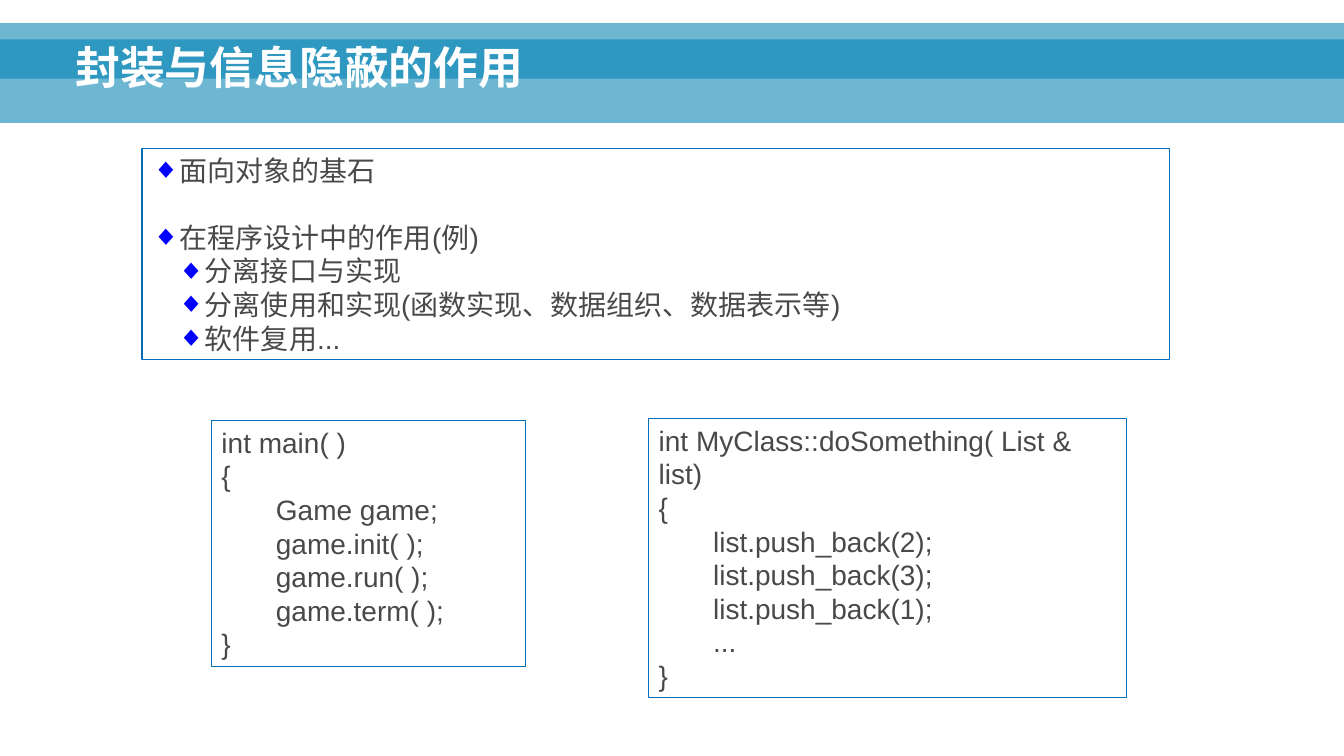
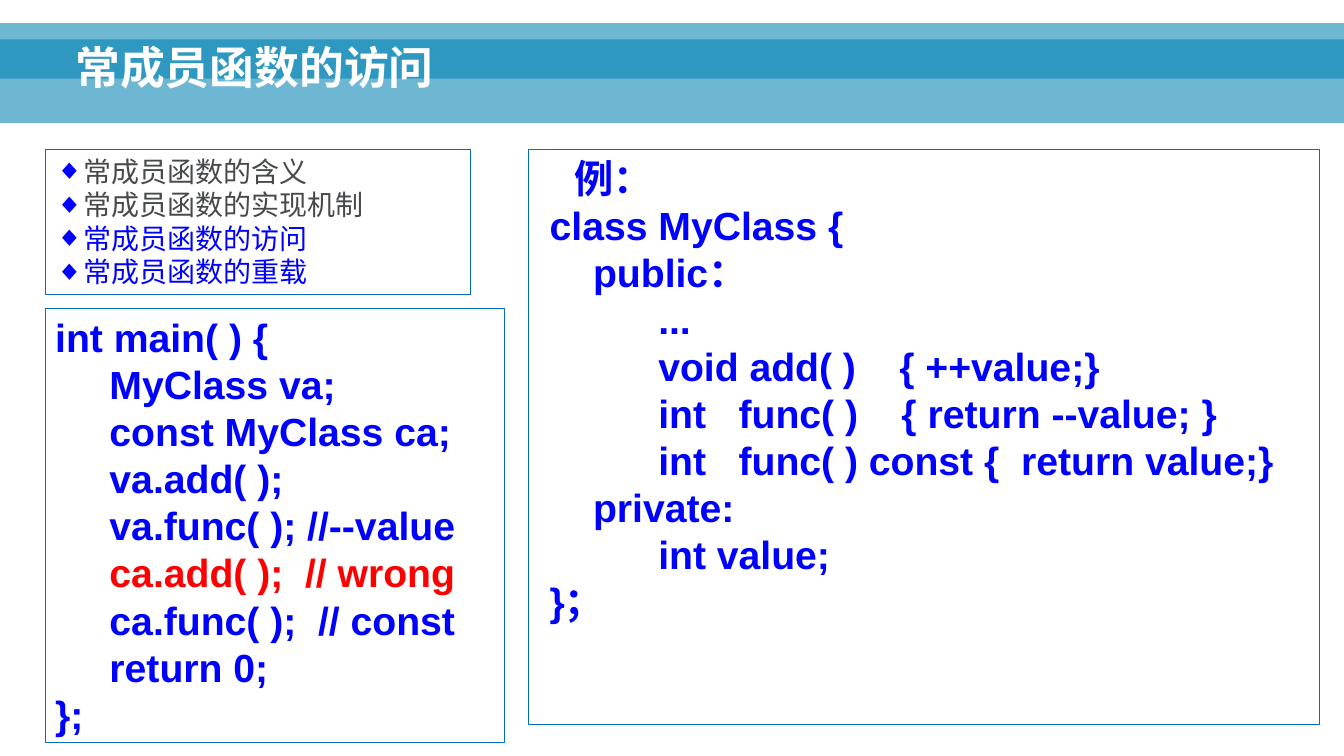
from lxml import etree
from pptx import Presentation
from pptx.dml.color import RGBColor
from pptx.enum import shapes, text
from pptx.oxml import ns
from pptx.util import Inches, Pt

BAND = RGBColor(0x00, 0x82, 0xB3)
EDGE = RGBColor(0x04, 0x6F, 0xB6)
GREY = RGBColor(0x47, 0x49, 0x4B)
BLUE = RGBColor(0x00, 0x00, 0xFF)
RED = RGBColor(0xFF, 0x00, 0x00)
WHITE = RGBColor(0xFF, 0xFF, 0xFF)

BAND_ALPHA = "57000"
BANDS = [(0.39, 0.83), (0.23, 0.55)]
TITLE = {"size": Pt(32), "bold": True, "name": "Arial"}
BODY = {"size": Pt(20), "bold": False, "name": "Arial"}
CODE = {"size": Pt(28), "bold": True, "name": "Arial"}
STEP = Inches(0.25)


def add_rect(s, left, top, width, height):
    sp = s.shapes.add_shape(shapes.MSO_SHAPE.RECTANGLE, Inches(left), Inches(top),
                            Inches(width), Inches(height))
    sp.shadow.inherit = False
    return sp


def write(tf, lines, fmt, bullets=False):
    tf.word_wrap = True
    for i, (line, color, level, gap) in enumerate(lines):
        p = tf.paragraphs[0] if i == 0 else tf.add_paragraph()
        p.alignment = text.PP_ALIGN.LEFT
        if gap:
            p.space_before = Pt(gap)
        if bullets:
            pPr = p._p.get_or_add_pPr()
            pPr.set("marL", str(STEP * (level + 1)))
            pPr.set("indent", str(-STEP))
            clr = etree.SubElement(pPr, ns.qn("a:buClr"))
            etree.SubElement(clr, ns.qn("a:srgbClr"), val=str(BLUE))
            etree.SubElement(pPr, ns.qn("a:buFont"), typeface="Arial")
            etree.SubElement(pPr, ns.qn("a:buChar"), char="◆")
        r = p.add_run()
        r.text = line
        for key, value in fmt.items():
            setattr(r.font, key, value)
        r.font.color.rgb = color


ROLE_LINES = [
    ("面向对象的基石", GREY, 0, 0),
    ("在程序设计中的作用(例)", GREY, 0, 24),
    ("分离接口与实现", GREY, 1, 0),
    ("分离使用和实现(函数实现、数据组织、数据表示等)", GREY, 1, 0),
    ("软件复用...", GREY, 1, 0),
]
GAME_CODE = """int main( )
{
       Game game;
       game.init( );
       game.run( );
       game.term( );
}"""
LIST_CODE = """int MyClass::doSomething( List & list)
{
       list.push_back(2);
       list.push_back(3);
       list.push_back(1);
       ...
}"""
TOPIC_LINES = [
    ("常成员函数的含义", GREY, 0, 0),
    ("常成员函数的实现机制", GREY, 0, 0),
    ("常成员函数的访问", BLUE, 0, 0),
    ("常成员函数的重载", BLUE, 0, 0),
]
CLASS_CODE = """    例：
 class MyClass {
     public：
           ...
           void add( )    { ++value;}
           int   func( )    { return --value; }
           int   func( ) const {  return value;}
     private:
           int value;
 }；"""
CALL_CODE = """int main( ) {
     MyClass va;
     const MyClass ca;
     va.add( );
     va.func( ); //--value
     ca.add( );  // wrong
     ca.func( );  // const
     return 0;
};"""

SLIDES = [
    ("封装与信息隐蔽的作用",
     [(ROLE_LINES, (1.41, 1.47, 10.2, 2.1))],
     [(GAME_CODE, (2.1, 4.17, 3.12, 2.44)), (LIST_CODE, (6.44, 4.15, 4.74, 2.77))],
     BODY, GREY),
    ("常成员函数的访问",
     [(TOPIC_LINES, (0.45, 1.48, 4.22, 1.44))],
     [(CLASS_CODE, (5.25, 1.48, 7.85, 5.71)), (CALL_CODE, (0.45, 3.06, 4.56, 4.31))],
     CODE, BLUE),
]

prs = Presentation()
prs.slide_width, prs.slide_height = Inches(13.34), Inches(7.5)

for title, lists, codes, code_fmt, code_color in SLIDES:
    s = prs.slides.add_slide(prs.slide_layouts[6])
    for top, height in BANDS:
        sp = add_rect(s, 0, top, 13.34, height)
        sp.fill.solid()
        sp.fill.fore_color.rgb = BAND
        sp.line.fill.background()
        clr = sp.fill._xPr.find(".//" + ns.qn("a:srgbClr"))
        etree.SubElement(clr, ns.qn("a:alpha"), val=BAND_ALPHA)

    tf = s.shapes.add_textbox(Inches(0.65), Inches(0.11), Inches(11.98), Inches(0.87)).text_frame
    tf.vertical_anchor = text.MSO_ANCHOR.BOTTOM
    write(tf, [(title, WHITE, 0, 0)], TITLE)
    tf.paragraphs[0].line_spacing = 0.9

    boxes = [(lines, at, BODY, True) for lines, at in lists]
    for code, at in codes:
        lines = [(line, RED if "wrong" in line else code_color, 0, 0)
                 for line in code.split("\n")]
        boxes.append((lines, at, code_fmt, False))
    for lines, at, fmt, bullets in boxes:
        sp = add_rect(s, *at)
        sp.fill.background()
        sp.line.color.rgb = EDGE
        sp.line.width = Pt(0.75)
        sp.text_frame.vertical_anchor = text.MSO_ANCHOR.TOP
        write(sp.text_frame, lines, fmt, bullets)

prs.save("out.pptx")
